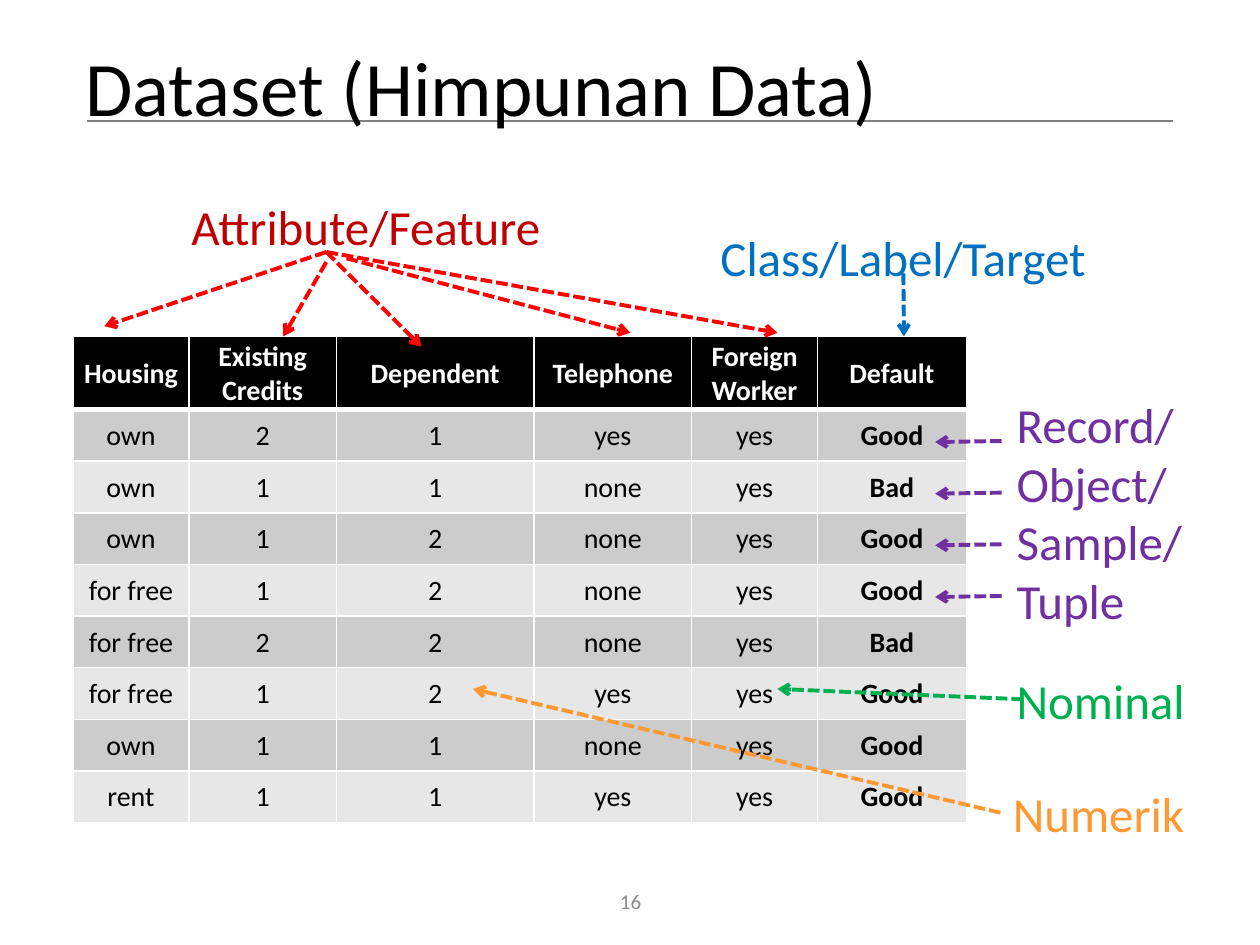
import itertools

import lxml.etree
import pptx
import pptx.dml.color
import pptx.enum.dml
import pptx.enum.shapes
import pptx.enum.text
import pptx.oxml.ns
import pptx.util

THEME = {
    "font": "Calibri",
    "size": {"title": 44, "label": 28, "table": 16, "number": 12},
    "black": "000000", "white": "FFFFFF", "rule": "808080", "number": "8C8C8C",
    "bands": ("CCCCCC", "E7E7E7"),
    "attribute": "C00000", "attribute_arrow": "FF0000", "class": "0070C0",
    "record": "7030A0", "nominal": "00B050", "numeric": "FF9933",
}

TITLE = "Dataset (Himpunan Data)"
PAGE_NUMBER = "16"
HEADINGS = ("Housing", "Existing Credits", "Dependent", "Telephone", "Foreign Worker", "Default")
RECORDS = [
    ("own", "2", "1", "yes", "yes", "Good"),
    ("own", "1", "1", "none", "yes", "Bad"),
    ("own", "1", "2", "none", "yes", "Good"),
    ("for free", "1", "2", "none", "yes", "Good"),
    ("for free", "2", "2", "none", "yes", "Bad"),
    ("for free", "1", "2", "yes", "yes", "Good"),
    ("own", "1", "1", "none", "yes", "Good"),
    ("rent", "1", "1", "yes", "yes", "Good"),
]

# The slide is a grid of 100 by 75 units; boxes are left, top, width, height in units.
SLIDE_COLUMNS, SLIDE_ROWS = 100, 75
UNIT = pptx.util.Inches(10) // SLIDE_COLUMNS
LABELS = [
    (["Attribute/Feature"], "attribute", (14.2, 15.1, 30.1, 5.7), False),
    (["Class/Label/Target"], "class", (56.2, 17.6, 31.3, 5.7), False),
    (["Record/", "Object/", "Sample/", "Tuple"], "record", (79.7, 30.8, 15.3, 19.9), False),
    (["Nominal"], "nominal", (79.7, 52.7, 15.5, 5.7), False),
    (["Numerik"], "numeric", (79.4, 61.7, 18.9, 5.7), True),
]

TABLE_LEFT, TABLE_TOP = 5.8, 26.7
COLUMN_WIDTHS = (9.2, 11.7, 15.7, 12.5, 10, 11.8)
ROW_HEIGHTS = (5.8,) + (4.1,) * len(RECORDS)
COLUMN_EDGES = list(itertools.accumulate(COLUMN_WIDTHS, initial=TABLE_LEFT))
ROW_EDGES = list(itertools.accumulate(ROW_HEIGHTS, initial=TABLE_TOP))

# Arrows: start in slide units, tip in table columns and rows (fractions reach into a cell).
ARROWS = [
    ("attribute_arrow", (25.9, 20), (0.27, -0.14)),
    ("attribute_arrow", (25.9, 20.8), (1.64, 0)),
    ("attribute_arrow", (25.9, 20), (2.43, 0.14)),
    ("attribute_arrow", (27.5, 20.5), (3.61, -0.05)),
    ("attribute_arrow", (25.9, 20), (4.68, -0.05)),
    ("class", (71.7, 21.7), (5.58, 0)),
    ("nominal", (81.2, 55.5), (4.68, 6.41)),
    ("numeric", (79.4, 64.5), (2.69, 6.41)),
] + [
    ("record", (79.5, ROW_EDGES[row] + 2.5), (5.79, row + 0.63)) for row in range(1, 5)
]


def units(*values):
    return [round(value * UNIT) for value in values]


def color(name):
    return pptx.dml.color.RGBColor.from_string(THEME.get(name, name))


def table_point(column, row):
    """Turn a fractional column and row of the table into slide units."""
    def along(edges, sizes, place):
        index = max(int(place), 0)
        return edges[index] + (place - index) * sizes[index]
    return along(COLUMN_EDGES, COLUMN_WIDTHS, column), along(ROW_EDGES, ROW_HEIGHTS, row)


def add_run(paragraph, words, size, tint, bold=False):
    run = paragraph.add_run()
    run.text = words
    run.font.name = THEME["font"]
    run.font.size = pptx.util.Pt(THEME["size"][size])
    run.font.bold = bold
    run.font.color.rgb = color(tint)


def add_text(slide, lines, box, size, tint, wrap=True, middle=False, centred=False, spacing=None):
    frame = slide.shapes.add_textbox(*units(*box)).text_frame
    frame.word_wrap = wrap
    if middle:
        frame.vertical_anchor = pptx.enum.text.MSO_ANCHOR.MIDDLE
    else:
        frame.auto_size = pptx.enum.text.MSO_AUTO_SIZE.SHAPE_TO_FIT_TEXT
    for index, line in enumerate(lines):
        paragraph = frame.add_paragraph() if index else frame.paragraphs[0]
        if centred:
            paragraph.alignment = pptx.enum.text.PP_ALIGN.CENTER
        if spacing:
            paragraph.line_spacing = spacing
        add_run(paragraph, line, size, tint)


def add_line(slide, start, end, tint, width, arrow=False):
    line = slide.shapes.add_connector(
        pptx.enum.shapes.MSO_CONNECTOR.STRAIGHT, *units(*start, *end))
    line.line.color.rgb = color(tint)
    line.line.width = pptx.util.Pt(width)
    properties = line._element.spPr
    qn = pptx.oxml.ns.qn
    if arrow:
        line.line.dash_style = pptx.enum.dml.MSO_LINE.SQUARE_DOT
        lxml.etree.SubElement(properties.find(qn("a:ln")), qn("a:tailEnd"), type="arrow")
    lxml.etree.SubElement(properties, qn("a:effectLst"))


def add_borders(cell, bottom):
    qn = pptx.oxml.ns.qn
    properties = cell._tc.get_or_add_tcPr()
    for side, width in (("L", 1), ("R", 1), ("T", 1), ("B", bottom)):
        border = lxml.etree.SubElement(
            properties, qn("a:ln" + side), w=str(pptx.util.Pt(width)))
        fill = lxml.etree.SubElement(border, qn("a:solidFill"))
        lxml.etree.SubElement(fill, qn("a:srgbClr"), val=THEME["white"])


def add_records(slide):
    rows = [HEADINGS] + RECORDS
    table = slide.shapes.add_table(
        len(rows), len(HEADINGS),
        *units(TABLE_LEFT, TABLE_TOP, sum(COLUMN_WIDTHS), sum(ROW_HEIGHTS))).table
    for column, width in zip(table.columns, units(*COLUMN_WIDTHS)):
        column.width = width
    for row, height in zip(table.rows, units(*ROW_HEIGHTS)):
        row.height = height
    for r, values in enumerate(rows):
        heading = r == 0
        for c, value in enumerate(values):
            cell = table.cell(r, c)
            add_borders(cell, bottom=3 if heading or r == 0 else 1)
            cell.fill.solid()
            cell.fill.fore_color.rgb = color("black" if heading else THEME["bands"][(r - 1) % 2])
            cell.margin_left = cell.margin_right = cell.margin_top = pptx.util.Inches(0.01)
            cell.margin_bottom = 0
            cell.vertical_anchor = pptx.enum.text.MSO_ANCHOR.MIDDLE
            paragraph = cell.text_frame.paragraphs[0]
            paragraph.alignment = pptx.enum.text.PP_ALIGN.CENTER
            add_run(paragraph, value, "table", "white" if heading else "black",
                    bold=heading or c == len(HEADINGS) - 1)


def main():
    deck = pptx.Presentation()
    deck.slide_width, deck.slide_height = SLIDE_COLUMNS * UNIT, SLIDE_ROWS * UNIT
    slide = deck.slides.add_slide(deck.slide_layouts[6])
    add_text(slide, [PAGE_NUMBER], (38.8, 69.5, 22.5, 4), "number", "number",
             middle=True, centred=True)
    add_line(slide, (6.9, 9.6), (93.1, 9.6), "rule", 1)
    add_text(slide, [TITLE], (5.8, 1, 90, 12.5), "title", "black", middle=True, spacing=0.9)
    add_records(slide)
    for lines, tint, box, wrap in LABELS:
        add_text(slide, lines, box, "label", tint, wrap=wrap)
    for tint, start, tip in ARROWS:
        add_line(slide, start, table_point(*tip), tint, 2.25, arrow=True)
    deck.save("out.pptx")


if __name__ == "__main__":
    main()
